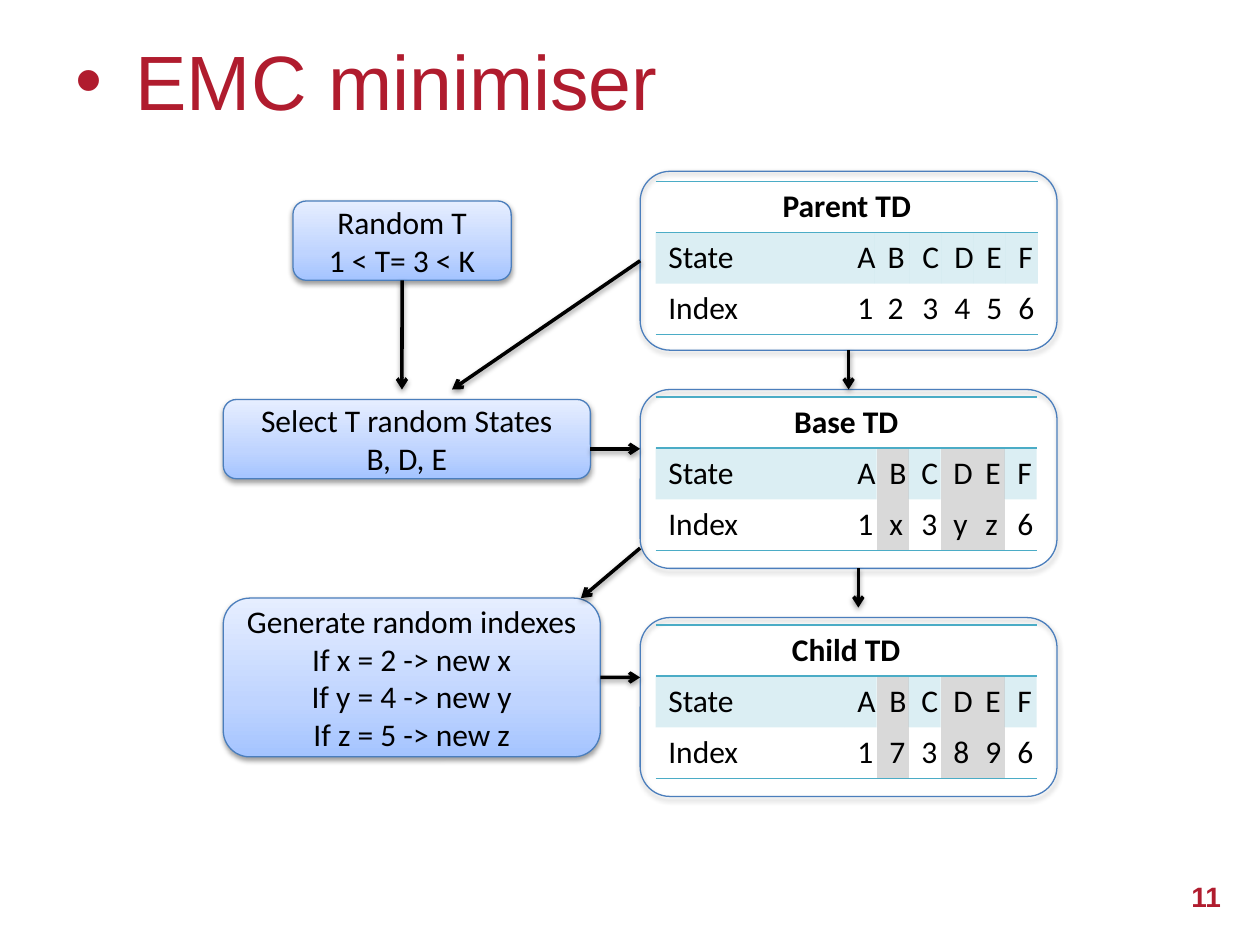
from pptx import Presentation
from pptx.dml.color import RGBColor as RGB
from pptx.enum.shapes import MSO_CONNECTOR as Conn, MSO_SHAPE as Kind
from pptx.enum.text import MSO_ANCHOR as Anchor, PP_ALIGN as Align
from pptx.oxml import parse_xml as make
from pptx.oxml.ns import nsdecls, qn
from pptx.util import Pt

BLACK = RGB(0x00, 0x00, 0x00)
RED = RGB(0xB0, 0x1C, 0x2E)
BLUE = RGB(0x4B, 0x7E, 0xBC)
TEAL = RGB(0x4B, 0xAC, 0xC6)
GREY = RGB(0xD9, 0xD9, 0xD9)
DEEP = RGB(0xA4, 0xC4, 0xFF)
MID = RGB(0xBF, 0xD4, 0xFF)
PALE = RGB(0xE6, 0xEE, 0xFF)

NS = nsdecls("a")
PLAIN = "{2D5ABB26-0587-4C30-8999-92F81FD0307C}"
SHADOW = (f'<a:effectLst {NS}><a:outerShdw blurRad="{Pt(3.1)}" dist="{Pt(1.6)}" '
          'dir="5400000" rotWithShape="0"><a:srgbClr val="000000">'
          '<a:alpha val="38000"/></a:srgbClr></a:outerShdw></a:effectLst>')
STOPS = "".join(f'<a:gs pos="{at}000"><a:srgbClr val="{tone}"/></a:gs>'
                for at, tone in ((0, DEEP), (35, MID), (100, PALE)))
GRAD = (f'<a:gradFill {NS} rotWithShape="1"><a:gsLst>{STOPS}</a:gsLst>'
        '<a:lin ang="16200000" scaled="0"/></a:gradFill>')


def put(item, values):
    for name, value in values.items():
        setattr(item, name, value)


class Board:
    body = {"name": "Calibri", "size": Pt(18), "bold": False}
    head = {**body, "bold": True}
    title = {"name": "Arial", "size": Pt(44), "bold": False}
    page = {"name": "Arial", "size": Pt(16), "bold": True}

    def __init__(self, slide):
        self.slide = slide
        self.shapes = slide.shapes

    def words(self, frame, lines, font, color=BLACK, align=Align.CENTER):
        for i, line in enumerate(lines):
            para = frame.paragraphs[0] if i == 0 else frame.add_paragraph()
            para.alignment = align
            run = para.add_run()
            run.text = line
            put(run.font, font)
            run.font.color.rgb = color

    def text(self, line, at, font, align):
        box = self.shapes.add_textbox(*map(Pt, at))
        put(box.text_frame, {"word_wrap": True, "vertical_anchor": Anchor.MIDDLE})
        self.words(box.text_frame, [line], font, RED, align)
        return box

    def bullet(self, box, indent):
        props = box.text_frame.paragraphs[0]._p.get_or_add_pPr()
        props.set("marL", str(Pt(indent)))
        props.set("indent", str(-Pt(indent)))
        props.append(make(f'<a:buFont {NS} typeface="Arial"/>'))
        props.append(make(f'<a:buChar {NS} char="•"/>'))

    def box(self, at, lines=()):
        shape = self.shapes.add_shape(Kind.ROUNDED_RECTANGLE, *map(Pt, at))
        shape.fill.background()
        shape.line.color.rgb = BLUE
        shape.line.width = Pt(0.75)
        props = shape._element.spPr
        if lines:
            bare = props.find(qn("a:noFill"))
            props.replace(bare, make(GRAD))
            put(shape.text_frame, {"word_wrap": True, "vertical_anchor": Anchor.MIDDLE})
            self.words(shape.text_frame, lines, self.body)
        props.append(make(SHADOW))
        return shape

    def edge(self, cell, sides):
        props = cell._tc.get_or_add_tcPr()
        for i, side in enumerate(sides):
            props.insert(i, make(
                f'<a:ln{side} {NS} w="{Pt(1)}"><a:solidFill><a:srgbClr val="{TEAL}"/>'
                f'</a:solidFill></a:ln{side}>'))

    def tint(self, cell, color, alpha=None):
        cell.fill.solid()
        cell.fill.fore_color.rgb = color
        if alpha:
            tone = cell._tc.tcPr.find(".//" + qn("a:srgbClr"))
            tone.append(make(f'<a:alpha {NS} val="{alpha}000"/>'))

    def table(self, left, top, name, codes, cols, marked):
        rows = (("State", *"ABCDEF"), ("Index", *codes))
        grid = self.shapes.add_table(3, len(cols), Pt(left), Pt(top),
                                     Pt(sum(cols)), Pt(87.6)).table
        put(grid, {"first_row": False, "horz_banding": False})
        grid._tbl.tblPr.find(qn("a:tableStyleId")).text = PLAIN
        for col, width in zip(grid.columns, cols):
            col.width = Pt(width)
        lead = grid.cell(0, 0)
        lead.merge(grid.cell(0, len(cols) - 1))
        self.words(lead.text_frame, [name], self.head)
        for c in range(len(cols)):
            self.edge(grid.cell(0, c), "TB")
        for r, row in enumerate(rows, 1):
            for c, word in enumerate(row):
                cell = grid.cell(r, c)
                align = Align.CENTER if c else Align.LEFT
                self.words(cell.text_frame, [word], self.body, align=align)
                if c and rows[0][c] in marked:
                    self.tint(cell, GREY)
                elif r == 1:
                    self.tint(cell, TEAL, 20)
                if r == 2:
                    self.edge(cell, "B")

    def arrow(self, start, stop, tail=None, tip=None):
        line = self.shapes.add_connector(Conn.STRAIGHT, *map(Pt, start + stop))
        line.line.color.rgb = BLACK
        line.line.width = Pt(2)
        if tail:
            line.begin_connect(*tail)
        if tip:
            line.end_connect(*tip)
        props = line._element.spPr
        props.find(qn("a:ln")).append(make(f'<a:tailEnd {NS} type="arrow"/>'))
        props.append(make(SHADOW))


def main():
    deck = Presentation()
    put(deck, {"slide_width": Pt(720), "slide_height": Pt(540)})
    board = Board(deck.slides.add_slide(deck.slide_layouts[6]))

    title = board.text("EMC minimiser", (36, 0.7, 648, 90), board.title, Align.LEFT)
    board.bullet(title, 34.5)

    even = [108] + [18.3] * 6
    first = [108, 16.6, 20] + [18.3] * 4
    panels = [board.box((365.8, top, 238.2, 102.2)) for top in (97.9, 222.6, 352.9)]
    for top, name, codes, cols, marked in (
            (103.6, "Parent TD", "123456", first, ""),
            (226.9, "Base TD", "1x3yz6", even, "BDE"),
            (357.2, "Child TD", "173896", even, "BDE")):
        board.table(374.7, top, name, codes, cols, marked)
    parent, base, child = panels

    fresh = board.box((127.6, 341.8, 215.5, 90.7), (
        "Generate random indexes", *(f"If {v} = {n} -> new {v}"
                                     for v, n in zip("xyz", (2, 4, 5)))))
    board.box((127.6, 228.3, 209.8, 45.3), ("Select T random States", "B, D, E"))
    draw = board.box((167.4, 114.9, 124.7, 45.3), ("Random T", "1 < T= 3 < K"))

    board.arrow((229.7, 160.2), (229.7, 222.6), tail=(draw, 2))
    board.arrow((365.8, 313.2), (332, 341.8))
    board.arrow((365.8, 149), (258.3, 222.6), tail=(parent, 1))
    board.arrow((337.4, 256.5), (365.8, 256.5))
    board.arrow((484.9, 200.1), (484.9, 222.6), tail=(parent, 2), tip=(base, 0))
    board.arrow((343.1, 387.1), (365.8, 387.1), tail=(fresh, 3))
    board.arrow((490.5, 324.8), (490.5, 347.2))

    board.text("11", (649.4, 493.2, 55.4, 37.4), board.page, Align.RIGHT)
    deck.save("out.pptx")


if __name__ == "__main__":
    main()
